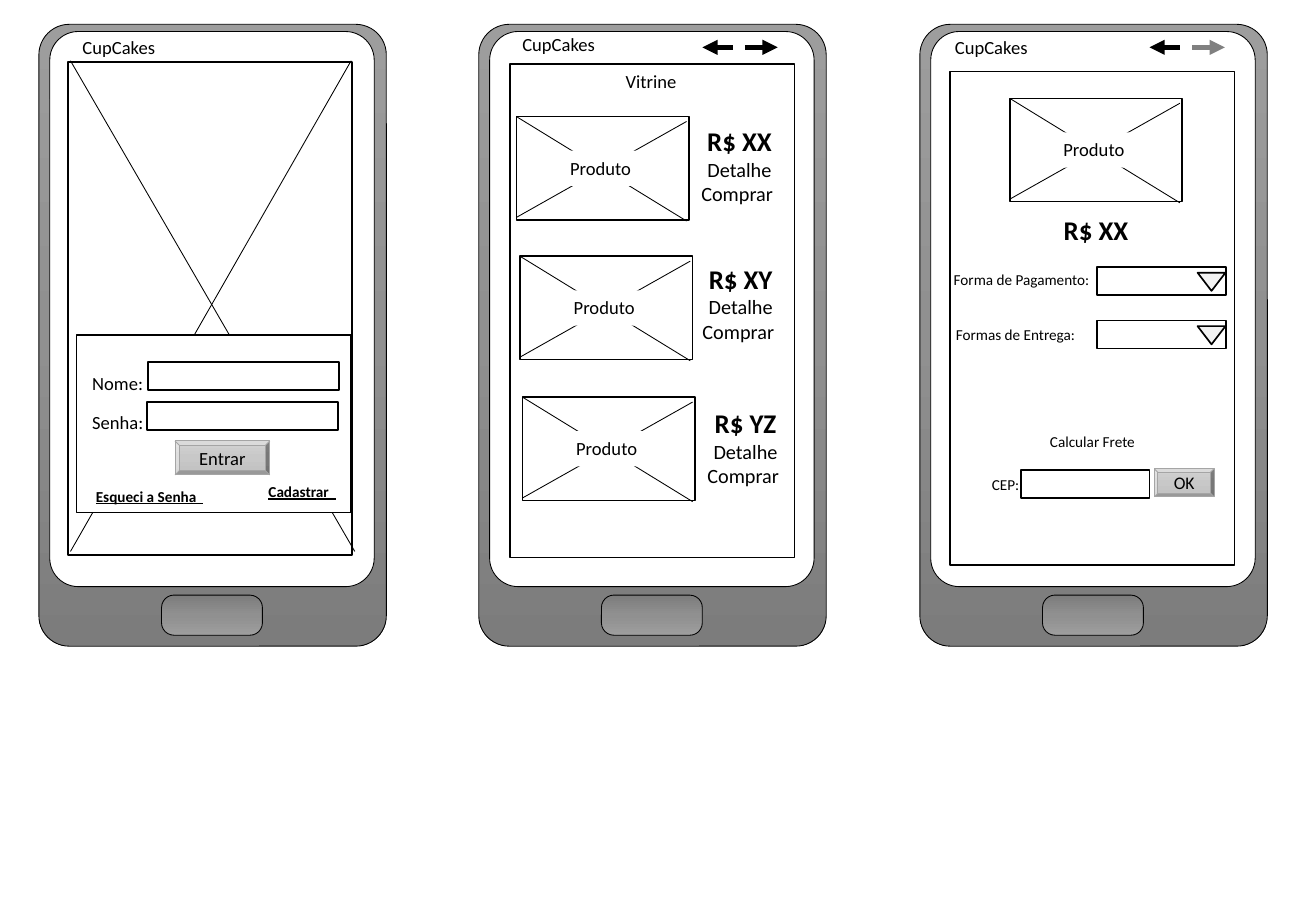
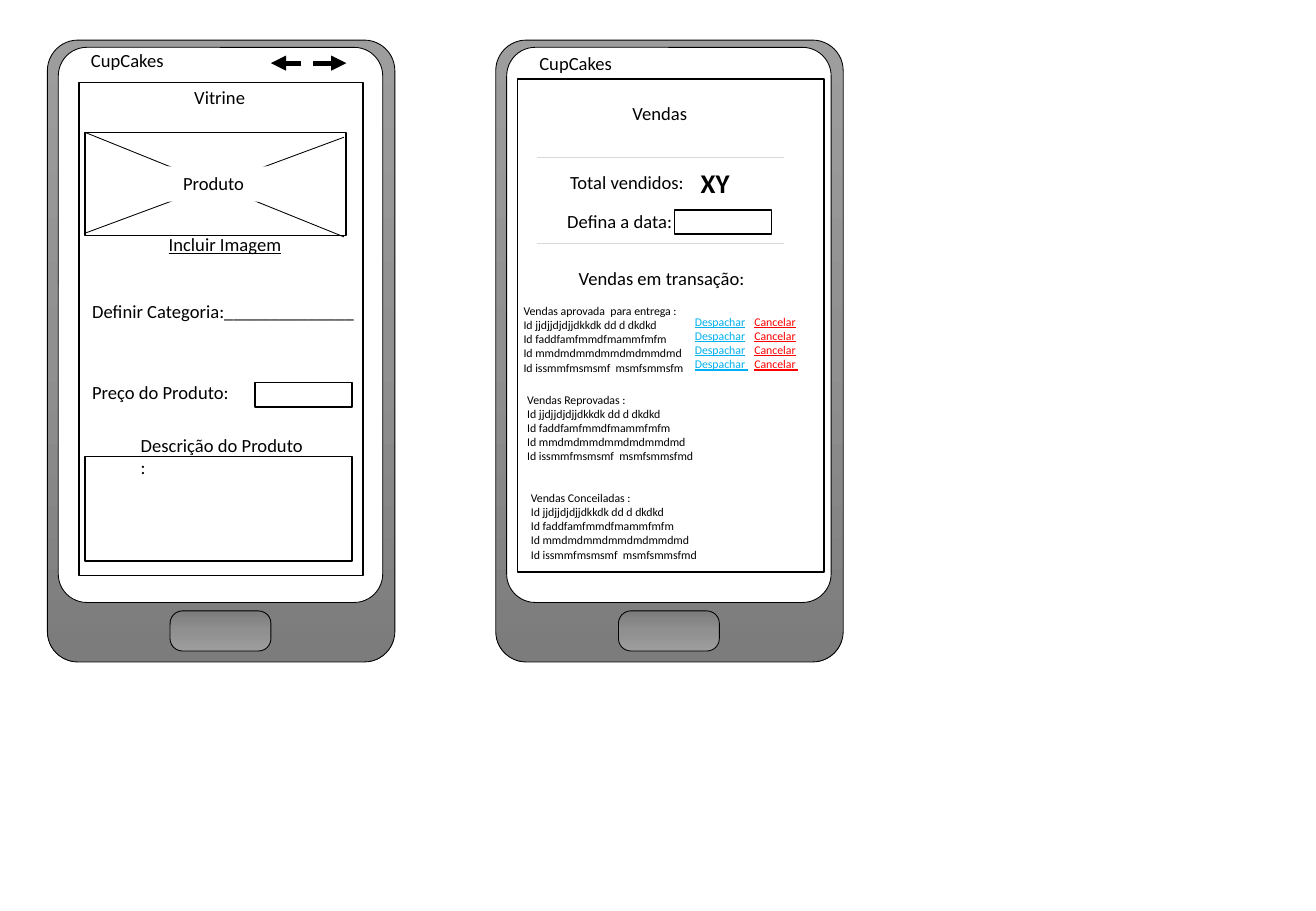
from copy import deepcopy
from dataclasses import dataclass

from lxml import etree
from pptx import Presentation
from pptx.dml.color import RGBColor
from pptx.enum.shapes import MSO_CONNECTOR, MSO_SHAPE
from pptx.enum.text import MSO_ANCHOR, MSO_AUTO_SIZE, PP_ALIGN
from pptx.oxml.ns import qn
from pptx.util import Inches, Pt

RECT, ROUND = MSO_SHAPE.RECTANGLE, MSO_SHAPE.ROUNDED_RECTANGLE
BEVEL, TRIANGLE = MSO_SHAPE.BEVEL, MSO_SHAPE.ISOSCELES_TRIANGLE
STRAIGHT = MSO_CONNECTOR.STRAIGHT
LEFT, CENTER, RIGHT = PP_ALIGN.LEFT, PP_ALIGN.CENTER, PP_ALIGN.RIGHT
MIDDLE = MSO_ANCHOR.MIDDLE
GROW = MSO_AUTO_SIZE.SHAPE_TO_FIT_TEXT


@dataclass(frozen=True)
class Theme:
    """Colours, type sizes and line widths of the wireframes."""
    font: str = "Calibri"
    ink: str = "000000"
    paper: str = "FFFFFF"
    disabled: str = "808080"
    rule: str = "D9D9D9"
    drop: str = "F2F2F2"
    button_line: str = "A5A5A5"
    send: str = "00B0F0"
    cancel: str = "FF0000"
    case: tuple = ("9D9D9D", "909090", "7C7C7C")
    button: tuple = ("D2D2D2", "C8C8C8", "C0C0C0")
    price: float = 16
    action: float = 12
    body: float = 11
    ok: float = 10.5
    small: float = 9
    tiny: float = 7
    thin: float = 0.5
    frame: float = 1
    arrow: float = 3


def rgb(value):
    """Turn a hex string into a colour."""
    return RGBColor.from_string(value)


def write(tf, text, size, color, font, bold=False, underline=False, align=LEFT):
    """Fill a text frame, one paragraph per line; a line may be (text, size, bold)."""
    lines = [text] if isinstance(text, str) else text
    for i, line in enumerate(lines):
        words, pt, strong = (line, size, bold) if isinstance(line, str) else line
        p = tf.paragraphs[0] if i == 0 else tf.add_paragraph()
        p.alignment = align
        r = p.add_run()
        r.text = words
        r.font.name, r.font.size = font, Pt(pt)
        r.font.bold, r.font.underline = strong, underline
        r.font.color.rgb = rgb(color)


def shade(sp, colors):
    """Give a shape a vertical gradient of three evenly spaced colours."""
    sp.fill.gradient()
    sp.fill.gradient_angle = 270
    stops = sp._element.spPr.find(".//" + qn("a:gsLst"))
    stops.insert(1, deepcopy(stops[0]))
    for i, (stop, color) in enumerate(zip(sp.fill.gradient_stops, colors)):
        stop.position = i / 2
        stop.color.rgb = rgb(color)


class Wireframe:
    """Draws phone screens on the current slide in one style."""

    def __init__(self, prs, theme):
        """Keep the presentation and the theme."""
        self.prs, self.t, self.s = prs, theme, None

    def new_slide(self):
        """Start a blank slide."""
        self.s = self.prs.slides.add_slide(self.prs.slide_layouts[6])

    def shape(self, kind, x, y, w, h, fill=None, line=None, width=None):
        """Add a shape with a solid colour or a gradient tuple as its fill."""
        sp = self.s.shapes.add_shape(kind, Inches(x), Inches(y), Inches(w), Inches(h))
        sp.shadow.inherit = False
        if isinstance(fill, tuple):
            shade(sp, fill)
        else:
            sp.fill.solid()
            sp.fill.fore_color.rgb = rgb(fill or self.t.paper)
        sp.line.color.rgb = rgb(line or self.t.ink)
        sp.line.width = Pt(width or self.t.frame)
        return sp

    def box(self, x, y, w, h):
        """Add a white outlined rectangle."""
        return self.shape(RECT, x, y, w, h)

    def label(self, x, y, w, text, h=0.29, size=None, color=None, wrap=True, **fmt):
        """Add a text box."""
        sp = self.s.shapes.add_textbox(Inches(x), Inches(y), Inches(w), Inches(h))
        tf = sp.text_frame
        tf.word_wrap, tf.auto_size = wrap, GROW
        write(tf, text, size or self.t.body, color or self.t.ink, self.t.font, **fmt)
        return sp

    def line(self, x1, y1, x2, y2, color=None, width=None, arrow=False):
        """Add a straight line, with an arrowhead at its end if asked."""
        c = self.s.shapes.add_connector(
            STRAIGHT, Inches(x1), Inches(y1), Inches(x2), Inches(y2))
        c.line.color.rgb = rgb(color or self.t.ink)
        c.line.width = Pt(width or self.t.thin)
        if arrow:
            etree.SubElement(c.line._get_or_add_ln(), qn("a:tailEnd"), type="triangle")
        etree.SubElement(c._element.spPr, qn("a:effectLst"))

    def phone(self, x, y):
        """Add a phone: case, screen and home button."""
        t = self.t
        parts = ((0, 0, 2.86, 5.12, t.case, 0.088),
                 (0.09, 0.06, 2.67, 4.57, t.paper, 0.088),
                 (1.01, 4.7, 0.83, 0.33, t.case[::-1], 0.309))
        for dx, dy, w, h, fill, corner in parts:
            sp = self.shape(ROUND, x + dx, y + dy, w, h, fill, width=t.thin)
            sp.adjustments[0] = corner

    def app_name(self, x, y):
        """Add the name at the top of a screen."""
        self.label(x, y, 1.09, "CupCakes ")

    def nav(self, x, y, forward=None):
        """Add the back and forward arrows."""
        self.line(x + 0.25, y, x, y, width=self.t.arrow, arrow=True)
        self.line(x + 0.35, y, x + 0.62, y, forward, self.t.arrow, arrow=True)

    def product(self, x, y, w=1.42):
        """Add a crossed image area with its caption in the middle."""
        self.box(x, y, w, 0.85)
        end = x + w - 0.02
        self.line(x, y, end, y + 0.86)
        self.line(x, y + 0.83, end, y + 0.04)
        caption = self.label(x + w * 0.115, y + 0.28, w * 0.77, "Produto ", align=CENTER)
        caption.fill.solid()
        caption.fill.fore_color.rgb = rgb(self.t.paper)

    def button(self, x, y, w, h, text, size):
        """Add a bevelled button."""
        t = self.t
        sp = self.shape(BEVEL, x, y, w, h, t.button, t.button_line, t.thin)
        sp.text_frame.vertical_anchor = MIDDLE
        write(sp.text_frame, text, size, t.ink, t.font, align=CENTER)

    def dropdown(self, x, y):
        """Add a drop-down field."""
        self.box(x, y, 1.06, 0.23)
        self.shape(TRIANGLE, x + 0.825, y + 0.045, 0.23, 0.15, self.t.drop).rotation = 180


def login(wf, t):
    """Draw the login screen."""
    wf.phone(0.32, 0.2)
    wf.box(0.56, 0.51, 2.34, 4.06)
    wf.line(0.58, 0.5, 2.92, 4.54)
    wf.line(2.89, 0.5, 0.58, 4.54)
    wf.box(0.63, 2.76, 2.26, 1.46)
    for text, y, field_x, field_y in (("Nome: ", 3.01, 1.22, 2.98),
                                      ("Senha: ", 3.33, 1.21, 3.31)):
        wf.label(0.66, y, 0.78, text)
        wf.box(field_x, field_y, 1.57, 0.23)
    wf.button(1.44, 3.63, 0.78, 0.28, "Entrar", t.body)
    for x, y, text, align in ((0.69, 3.96, "Esqueci a Senha  ", LEFT),
                              (1.67, 3.92, "Cadastrar  ", RIGHT)):
        wf.label(x, y, 1.19, text, 0.25, t.small, bold=True, underline=True, align=align)
    wf.app_name(0.58, 0.25)


def showcase(wf, t):
    """Draw the list of products."""
    wf.phone(3.94, 0.2)
    wf.box(4.2, 0.53, 2.34, 4.06)
    wf.app_name(4.2, 0.22)
    wf.nav(5.78, 0.39)
    wf.label(4.83, 0.53, 1.09, "Vitrine ", align=CENTER)
    offers = ((4.25, 0.96, 5.54, 0.98, "R$ XX"),
              (4.28, 2.11, 5.55, 2.11, "R$ XY"),
              (4.3, 3.27, 5.59, 3.3, "R$ YZ"))
    for x, y, price_x, price_y, price in offers:
        wf.product(x, y)
        wf.label(price_x, price_y, 1.09,
                 [(price, t.price, True), "Detalhe", "Comprar "],
                 0.77, t.action, align=CENTER)


def checkout(wf, t):
    """Draw the payment and delivery screen."""
    wf.phone(7.57, 0.2)
    wf.box(7.82, 0.59, 2.34, 4.06)
    wf.app_name(7.76, 0.25)
    wf.nav(9.46, 0.39, t.disabled)
    wf.product(8.31, 0.81)
    wf.label(7.99, 1.71, 2.06, "R$ XX", 0.37, t.price, bold=True, align=CENTER)
    for y in (2.2, 2.64):
        wf.dropdown(9.03, y)
    wf.box(8.4, 3.87, 1.06, 0.23)
    captions = ((7.54, 2.18, 1.76, "Forma de Pagamento: "),
                (7.49, 2.63, 1.76, "Formas de Entrega: "),
                (8.11, 3.51, 1.76, "Calcular Frete"),
                (7.98, 3.86, 0.59, "CEP:"))
    for x, y, w, text in captions:
        wf.label(x, y, w, text, 0.25, t.small, align=CENTER)
    wf.button(9.5, 3.86, 0.49, 0.23, "OK", t.ok)


def product_form(wf):
    """Draw the form that registers a product."""
    wf.phone(0.39, 0.33)
    wf.box(0.65, 0.68, 2.34, 4.06)
    wf.app_name(0.65, 0.35)
    wf.label(1.28, 0.66, 1.09, "Vitrine ", align=CENTER)
    wf.nav(2.23, 0.52)
    wf.product(0.7, 1.09, 2.15)
    wf.label(1.29, 1.87, 1.13, "Incluir Imagem", wrap=False, underline=True)
    wf.label(0.66, 2.42, 2.41, "Definir Categoria:______________ ")
    wf.label(0.66, 3.09, 1.36, "Preço do Produto: ")
    wf.box(2.1, 3.15, 0.8, 0.2)
    wf.box(0.7, 3.76, 2.2, 0.86)
    wf.label(1.06, 3.52, 1.54, "Descrição do Produto : ", 0.47)


def sales(wf, t):
    """Draw the sales report."""
    wf.phone(4.08, 0.33)
    wf.box(4.26, 0.65, 2.52, 4.06)
    wf.app_name(4.34, 0.38)
    for x, y, w, text in ((4.68, 0.79, 1.5, "Vendas"),
                          (4.41, 1.36, 1.5, "Total vendidos:"),
                          (4.24, 2.15, 2.41, "Vendas em transação:")):
        wf.label(x, y, w, text, align=CENTER)
    wf.label(5.34, 1.32, 1.09, "XY", 0.37, t.price, bold=True, align=CENTER)
    for y in (1.3, 2):
        wf.line(4.42, y, 6.45, y, t.rule)
    wf.label(4.57, 1.68, 1.36, "Defina a data: ")
    wf.box(5.55, 1.73, 0.8, 0.2)
    orders = ["Id jjdjjdjdjjdkkdk dd d dkdkd", "Id faddfamfmmdfmammfmfm",
              "Id mmdmdmmdmmdmdmmdmd"]
    groups = ((4.21, 2.45, "Vendas aprovada  para entrega : ", "msmfsmmsfm"),
              (4.24, 3.18, "Vendas Reprovadas : ", "msmfsmmsfmd"),
              (4.27, 3.99, "Vendas Conceiladas : ", "msmfsmmsfmd"))
    for x, y, heading, ending in groups:
        wf.label(x, y, 2.41, [heading, *orders, "Id issmmfmsmsmf  " + ending],
                 0.69, t.tiny)
    for x, text, color in ((5.62, "Despachar", t.send), (6.11, "Cancelar", t.cancel)):
        wf.label(x, 2.54, 0.73, [text] * 3 + [text + " "], 0.57, t.tiny, color,
                 underline=True)


def main():
    """Build both slides and save them."""
    prs = Presentation()
    prs.slide_width, prs.slide_height = Inches(10.83), Inches(7.5)
    theme = Theme()
    wf = Wireframe(prs, theme)
    wf.new_slide()
    login(wf, theme)
    showcase(wf, theme)
    checkout(wf, theme)
    wf.new_slide()
    product_form(wf)
    sales(wf, theme)
    prs.save("out.pptx")


main()
